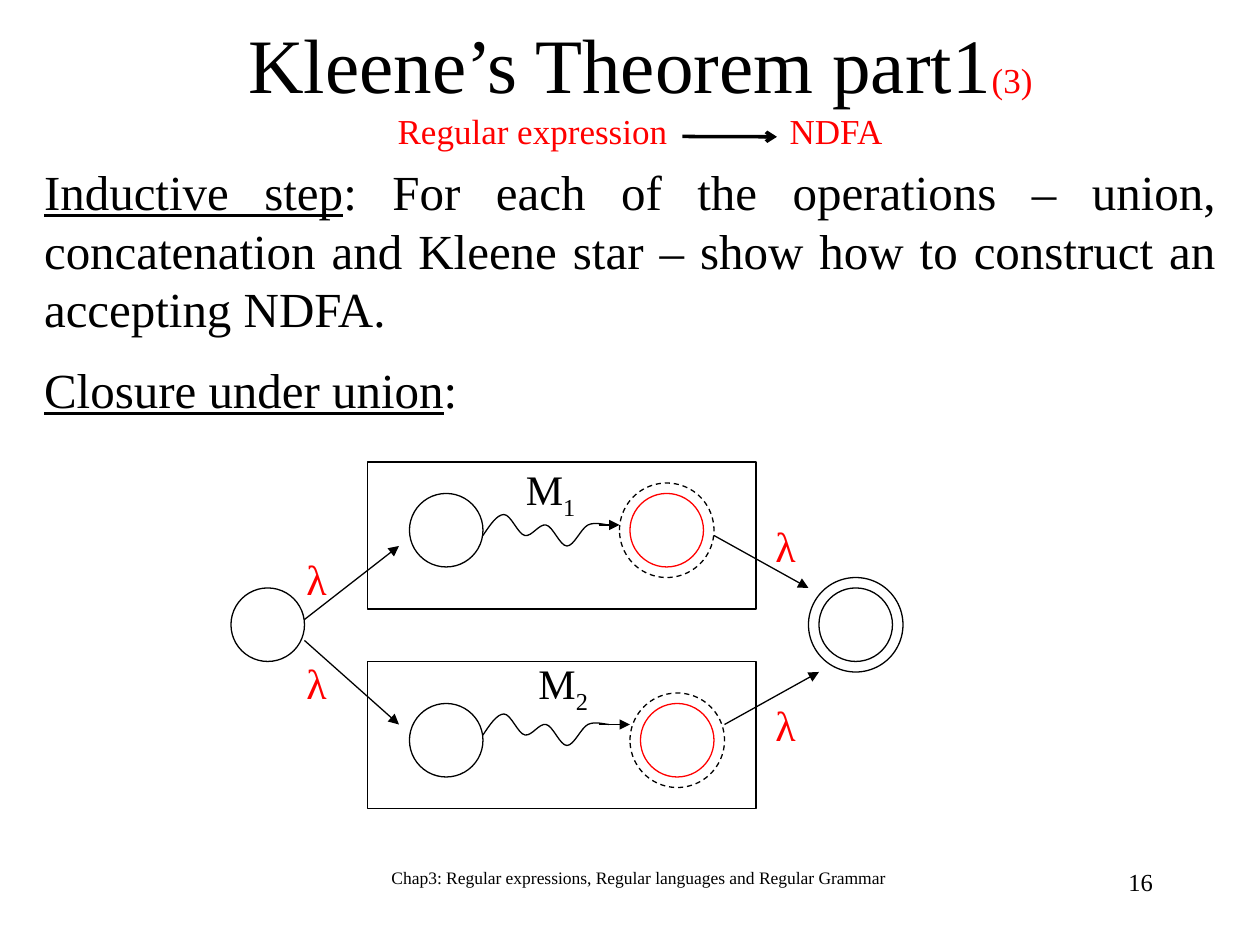
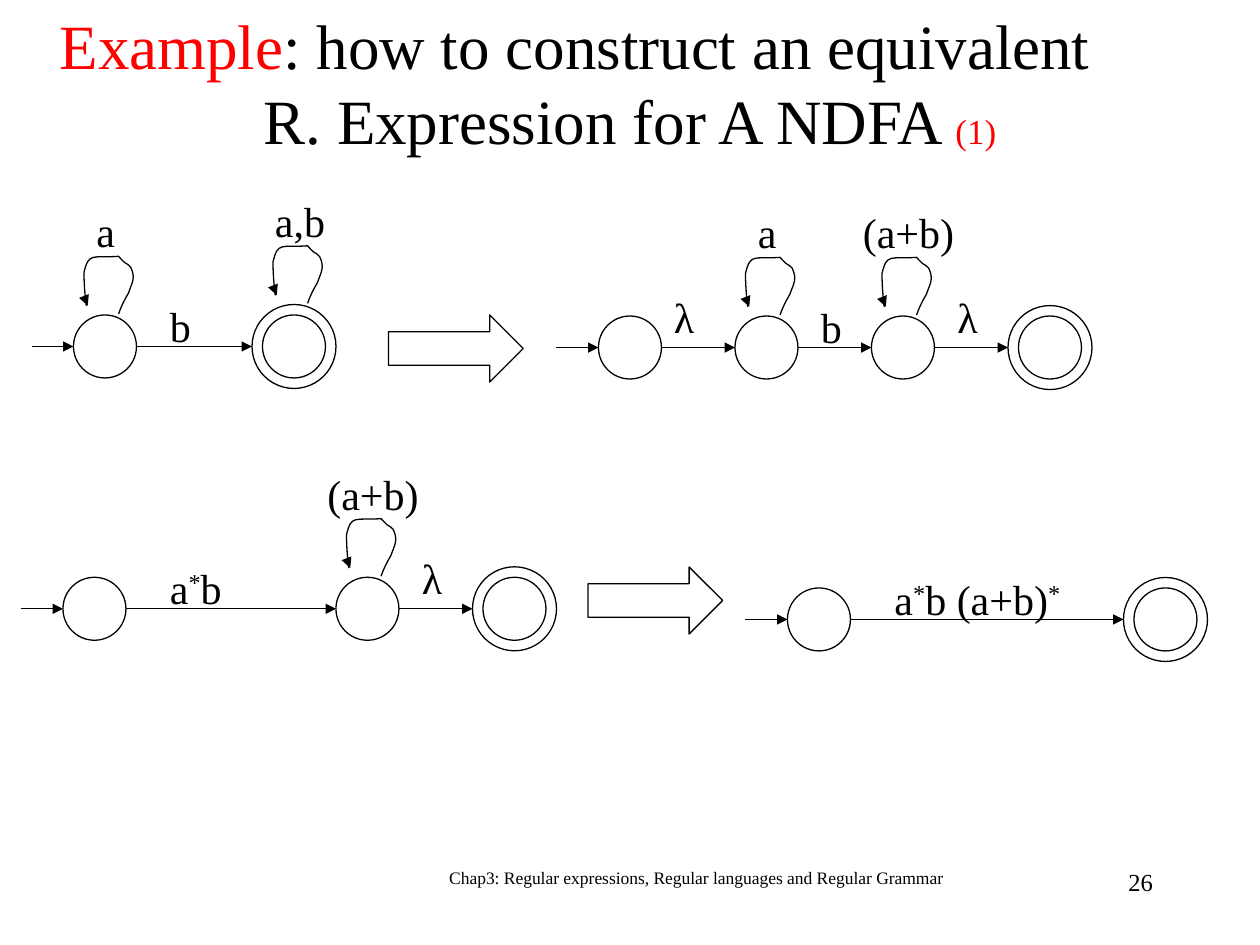
from dataclasses import dataclass

from lxml.etree import SubElement as Sub
from pptx import Presentation
from pptx.dml.color import RGBColor as RGB
from pptx.enum.dml import MSO_LINE as Dash
from pptx.enum.shapes import MSO_CONNECTOR as Link, MSO_SHAPE as Form
from pptx.enum.text import MSO_ANCHOR as Anchor, MSO_AUTO_SIZE as Fit, PP_ALIGN as Align
from pptx.oxml.ns import qn
from pptx.util import Pt


@dataclass(frozen=True)
class Theme:
    font: str = "Times New Roman"
    ink: RGB = RGB(0, 0, 0)
    red: RGB = RGB(255, 0, 0)
    head: int = 44
    topic: int = 36
    body: int = 28
    label: int = 24
    note: int = 20
    page: int = 14
    foot: int = 10
    thin: float = 0.75
    thick: float = 2


T = Theme()
NOTE = {"size": T.note, "color": T.red}
SUB, SUP = {"base": -25000}, {"base": 30000}
LINE = {"under": True}

# Each curve: a start, then Bezier triples, in points from its box corner
WAVE = [(0, 12), (4, 6), (8, 0), (12, 0), (16, 0), (20, 11.3), (24, 12),
        (28, 12.7), (32, 5.3), (36, 6), (40, 6.7), (44, 18), (48, 18),
        (52, 18), (56, 8), (60, 6), (64, 4), (70, 6), (72, 6)]
LOOP = [(19.8, 35.4), (21.2, 31.2), (23.2, 27.3), (25.4, 23.6),
        (27.5, 17.5), (29.7, 14.9), (26.7, 8.7), (26, 7.5), (24.5, 6.9), (23.2, 6),
        (22, 5), (21, 3.8), (19.8, 2.5), (4.5, 3.6), (2.9, 0), (0, 11.8),
        (0.1, 16.5), (0.3, 21.2), (0.8, 26), (1.9, 36), (2.2, 26), (2.2, 30.7)]


# Text
def write(par, runs, size, color=T.ink, align=Align.LEFT, before=0):
    """Fill a paragraph; a run is a string or a (string, style) pair."""
    par.alignment = align
    par.space_before = Pt(before)
    font = par.font
    font.name, font.size, font.color.rgb = T.font, Pt(size), color
    for item in runs:
        text, style = (item, {}) if isinstance(item, str) else item
        run = par.add_run()
        run.text = text
        if "size" in style:
            run.font.size = Pt(style["size"])
        if "color" in style:
            run.font.color.rgb = style["color"]
        if "under" in style:
            run.font.underline = True
        if "base" in style:
            run.font._element.set("baseline", str(style["base"]))


def place(shape, x, y, w, h):
    shape.left, shape.top, shape.width, shape.height = Pt(x), Pt(y), Pt(w), Pt(h)


def frame(shape):
    tf = shape.text_frame
    tf.word_wrap, tf.auto_size, tf.vertical_anchor = True, Fit.NONE, Anchor.TOP
    return tf


def title(slide, x, y, w, h):
    place(slide.shapes.title, x, y, w, h)
    tf = frame(slide.shapes.title)
    return tf.paragraphs[0], tf.add_paragraph()


def box(slide, x, y, w, h, runs, size, **look):
    shape = slide.shapes.add_textbox(Pt(x), Pt(y), Pt(w), Pt(h))
    write(frame(shape).paragraphs[0], runs, size, **look)
    return shape


def label(slide, x, y, w, *runs, color=T.ink):
    shape = box(slide, x, y, w, 36, runs, T.label, color=color)
    shape.text_frame.word_wrap = False


def footer(slide, x, w, page):
    text = "Chap3: Regular expressions, Regular languages and Regular Grammar "
    box(slide, x, 492, w, 36, [text], T.foot, align=Align.CENTER)
    box(slide, 516, 492, 150, 36, [page], T.page, align=Align.RIGHT)


# Lines and shapes
def stroke(shape, color=T.ink, width=T.thin, dash=None, tip=None):
    shape.line.color.rgb, shape.line.width = color, Pt(width)
    if dash:
        shape.line.dash_style = dash
    if tip:
        Sub(shape._element.spPr.find(qn("a:ln")), qn("a:tailEnd"), type=tip)


def arrow(slide, x1, y1, x2, y2, width=T.thin, tip="triangle"):
    line = slide.shapes.add_connector(Link.STRAIGHT, Pt(x1), Pt(y1), Pt(x2), Pt(y2))
    stroke(line, width=width, tip=tip)
    Sub(line._element.spPr, qn("a:effectLst"))


def outline(slide, form, x, y, w, h, **look):
    shape = slide.shapes.add_shape(form, Pt(x), Pt(y), Pt(w), Pt(h))
    shape.shadow.inherit = False
    shape.fill.background()
    stroke(shape, **look)


def ring(slide, x, y, d, **look):
    outline(slide, Form.OVAL, x, y, d, d, **look)


def double(slide, x, y, d, inner=T.ink, dash=None):
    """Accepting state: an outer ring and one 6 points inside it."""
    ring(slide, x, y, d, dash=dash)
    ring(slide, x + 6, y + 6, d - 12, color=inner)


def curve(slide, x, y, knots, tip=None):
    dots = [(Pt(x + p), Pt(y + q)) for p, q in knots]
    pen = slide.shapes.build_freeform(*dots[0])
    pen.add_line_segments(dots[1:], close=False)
    shape = pen.convert_to_shape()
    # Merge each three straight pieces into one Bezier piece
    legs = list(shape._element.iter(qn("a:lnTo")))
    for i in range(0, len(legs), 3):
        bend = Sub(legs[i].getparent(), qn("a:cubicBezTo"))
        for leg in legs[i:i + 3]:
            bend.append(leg[0])
            leg.getparent().remove(leg)
    shape.shadow.inherit = False
    shape.fill.background()
    stroke(shape, tip=tip)


# Automata
def branch(slide, top, drop, end, name, x, y):
    """Boxed machine whose old accepting state is crossed out by dashes."""
    outline(slide, Form.RECTANGLE, 210, top, 222, 84)
    ring(slide, 234, top + drop, 42)
    curve(slide, 276, top + 30, WAVE)
    arrow(slide, 342, top + 36, end, top + 36)
    double(slide, end, top + drop - 6, 54, inner=T.red, dash=Dash.DASH)
    label(slide, x, y, 42.5, "M", (name, SUB))


def chain(slide, y, lefts, loops=(), marks=()):
    """States on the axis y, the last accepting; loops hold state number,
    text, text left and width, marks hold edge text, left and width."""
    last = len(lefts) - 1
    start = lefts[0] - 24
    for i, x in enumerate(lefts):
        arrow(slide, start, y, x, y)
        start = x + 36
        if i < last:
            ring(slide, x, y - 18, 36)
        else:
            double(slide, x, y - 24, 48)
    for i, text, x, w in loops:
        rise = 6 if i == last else 0
        curve(slide, lefts[i] + 6 + rise, y - 54 - rise, LOOP, tip="triangle")
        label(slide, x, y - 84 - rise, w, text)
    for runs, x, w in marks:
        label(slide, x, y - (35.6 if runs == ["λ"] else 30), w, *runs)


# Slides
def union(deck):
    slide = deck.slides.add_slide(deck.slide_layouts[1])
    head, sub = title(slide, 30, 6, 672, 90)
    write(head, ["Kleene’s Theorem part1", ("(3)", NOTE)], T.head, align=Align.CENTER)
    tabs = Sub(sub._p.get_or_add_pPr(), qn("a:tabLst"))
    for stop in (190, 414):
        Sub(tabs, qn("a:tab"), pos=str(Pt(stop)), algn="l")
    write(sub, ["\tRegular expression\tNDFA"], T.note, T.red)
    arrow(slide, 390, 78, 444, 78.2, T.thick, "arrow")

    body = slide.placeholders[1]
    place(body, 18, 88.5, 684, 154)
    tf = frame(body)
    step, close = tf.paragraphs[0], tf.add_paragraph()
    for par in (step, close):
        props = par._p.get_or_add_pPr()
        props.set("marL", "0")
        props.set("indent", "0")
        Sub(props, qn("a:buNone"))
    write(step, [("Inductive step", LINE), ": For each of the operations – union, "
                 "concatenation and Kleene star – show how to construct an accepting NDFA."],
          T.body, align=Align.JUSTIFY)
    write(close, [("Closure under union", LINE), ":"], T.body, before=12.2)

    # Two machines joined by a new start and a new accepting state
    branch(slide, 264, 18, 354, "1", 293.4, 261.5)
    branch(slide, 378, 24, 360, "2", 300.6, 372.3)
    ring(slide, 132, 336, 42)
    double(slide, 462, 330, 54)
    for ends in ((174, 354, 228, 312), (174, 366, 228, 414),
                 (408, 306, 462, 336), (414, 414, 468, 384)):
        arrow(slide, *ends)
    for x, y in ((168, 312.5), (168, 372.3), (436, 293.8), (436, 396)):
        label(slide, x, y, 26, "λ", color=T.red)
    footer(slide, 192, 348, "16")


def example(deck):
    slide = deck.slides.add_slide(deck.slide_layouts[5])
    head, sub = title(slide, 0, 0, 666, 93.6)
    write(head, [("Example", {"color": T.red}), ": how to construct an equivalent "],
          T.topic, align=Align.CENTER)
    sub._p.get_or_add_pPr().set("marL", str(Pt(54)))
    write(sub, ["R. Expression for A NDFA ", ("(1)", NOTE)], T.topic, align=Align.CENTER)

    # Four stages of the reduction
    star = ["a", ("*", SUP), "b"]
    chain(slide, 198, [42, 144], [(0, "a", 48, 25), (1, "a,b", 150, 43)],
          [(["b"], 90, 26)])
    chain(slide, 198.6, [342, 420, 498, 576],
          [(1, "a", 426, 25), (2, "(a+b)", 486, 66)],
          [(["λ"], 378, 26), (["b"], 462, 26), (["λ"], 540, 26)])
    chain(slide, 347.9, [36, 192, 270], [(1, "(a+b)", 180, 66)],
          [(star, 90, 56), (["λ"], 234, 26)])
    chain(slide, 354, [450, 642],
          marks=[(star + [" (a+b)", ("*", SUP)], 504, 126)])
    for x, y in ((222, 180), (336, 324)):
        outline(slide, Form.RIGHT_ARROW, x, y, 77, 38.3)
    footer(slide, 246, 306, "26")


def main():
    deck = Presentation()
    deck.slide_width, deck.slide_height = Pt(720), Pt(540)
    union(deck)
    example(deck)
    deck.save("out.pptx")


if __name__ == "__main__":
    main()
